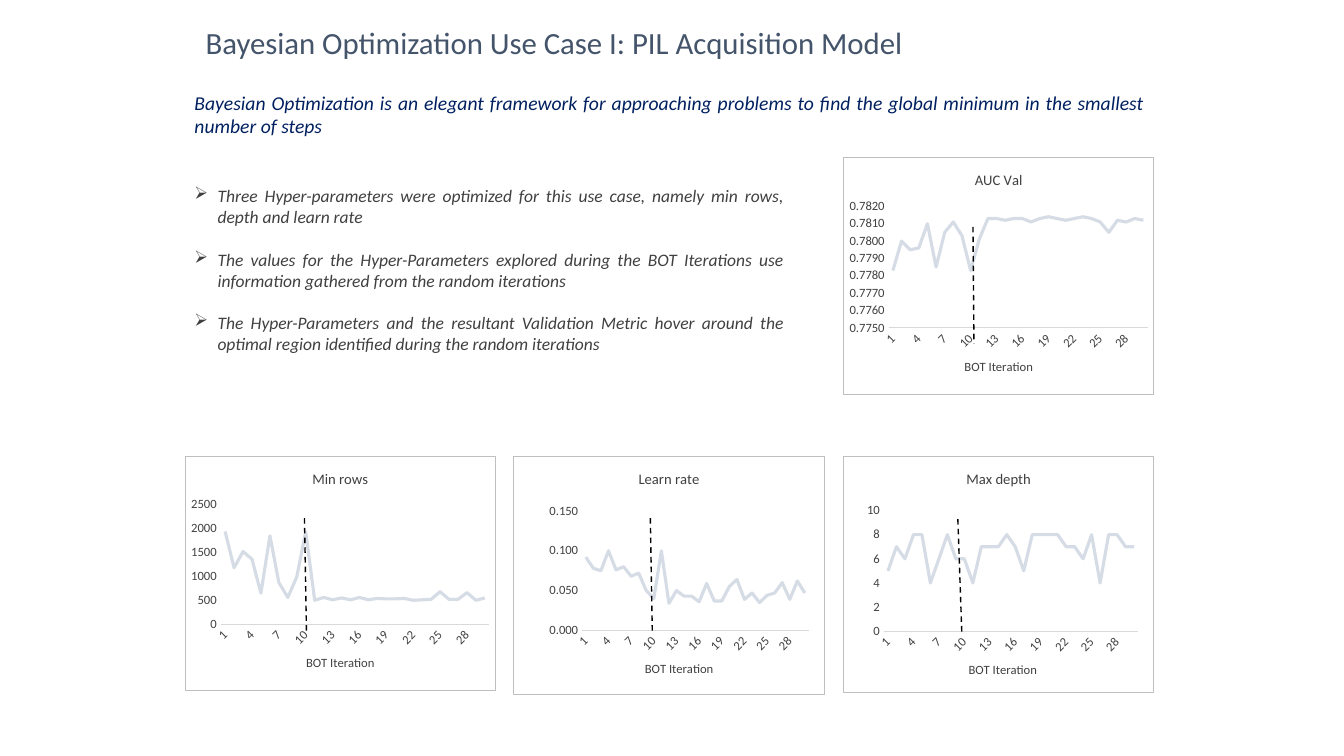
"""Build a slide on Bayesian optimization with four line charts."""
from dataclasses import dataclass

from lxml import etree
from pptx import Presentation
from pptx.chart.chart import Chart
from pptx.chart.data import CategoryChartData
from pptx.dml.color import RGBColor
from pptx.enum.chart import XL_CHART_TYPE, XL_TICK_MARK
from pptx.enum.dml import MSO_LINE
from pptx.enum.shapes import MSO_CONNECTOR
from pptx.enum.text import PP_ALIGN
from pptx.oxml import parse_xml
from pptx.oxml.ns import nsdecls, qn
from pptx.slide import Slide
from pptx.text.text import Font, TextFrame
from pptx.util import Emu, Pt

LINE = XL_CHART_TYPE.LINE
NO_TICK = XL_TICK_MARK.NONE
DASH = MSO_LINE.DASH
STRAIGHT = MSO_CONNECTOR.STRAIGHT
JUSTIFY = PP_ALIGN.JUSTIFY
LEFT = PP_ALIGN.LEFT
SCALE = 9144


@dataclass(frozen=True)
class Theme:
    """Hold the colours, font and type sizes."""
    face: str = "Calibri"
    title: str = "44546A"
    lead: str = "002060"
    body: str = "404040"
    trend: str = "D6DCE5"
    axis: str = "D9D9D9"
    frame: str = "BFBFBF"
    mark: str = "000000"
    title_size: float = 22
    lead_size: float = 14
    body_size: float = 12.5
    head_size: float = 10.5
    label_size: float = 9
    point_gap: float = 15.25


@dataclass(frozen=True)
class Box:
    """Hold a place on the slide in px."""
    left: int
    top: int
    width: int
    height: int

    def emu(self) -> tuple[Emu, ...]:
        """Give the place in EMU."""
        return tuple(map(px, (self.left, self.top, self.width, self.height)))


@dataclass(frozen=True)
class Panel:
    """Describe one chart and its dashed marker."""
    name: str
    box: Box
    low: float
    high: float
    step: float
    form: str
    marker: tuple[int, int, int, int]
    values: tuple[float, ...]
    plot: tuple[float, ...] = ()


THEME = Theme()
TITLE = "Bayesian Optimization Use Case I: PIL Acquisition Model"
LEAD = ("Bayesian Optimization is an elegant framework for approaching problems "
        "to find the global minimum in the smallest number of steps")
POINTS = (
    "Three Hyper-parameters were optimized for this use case, namely min rows, "
    "depth and learn rate",
    "The values for the Hyper-Parameters explored during the BOT Iterations use "
    "information gathered from the random iterations",
    "The Hyper-Parameters and the resultant Validation Metric hover around the "
    "optimal region identified during the random iterations",
)
PANELS = (
    Panel("AUC Val", Box(836, 156, 309, 236), 0.775, 0.782, 0.001, "0.0000",
          (965, 225, 966, 341),
          (0.7783, 0.78, 0.7795, 0.7796, 0.781, 0.7785, 0.7805, 0.7811, 0.7803, 0.7783,
           0.7801, 0.7813, 0.7813, 0.7812, 0.7813, 0.7813, 0.7811, 0.7813, 0.7814, 0.7813,
           0.7812, 0.7813, 0.7814, 0.7813, 0.7811, 0.7805, 0.7812, 0.7811, 0.7813, 0.7812)),
    Panel("Min rows", Box(183, 452, 309, 234), 0, 2500, 500, "General",
          (302, 514, 304, 628),
          (1940, 1180, 1520, 1360, 650, 1850, 870, 560, 990, 1930,
           500, 560, 510, 550, 510, 560, 510, 540, 530, 530,
           540, 500, 510, 520, 680, 520, 520, 660, 500, 550)),
    Panel("Learn rate", Box(509, 452, 309, 238), 0, 0.15, 0.05, "0.000",
          (645, 514, 647, 628),
          (0.092, 0.078, 0.075, 0.1, 0.076, 0.08, 0.068, 0.072, 0.05, 0.04,
           0.1, 0.034, 0.05, 0.043, 0.043, 0.036, 0.059, 0.037, 0.037, 0.055,
           0.064, 0.039, 0.047, 0.035, 0.044, 0.047, 0.06, 0.039, 0.062, 0.047),
          (0.22, 0.23, 0.73, 0.5)),
    Panel("Max depth", Box(836, 452, 309, 236), 0, 10, 2, "General",
          (950, 515, 954, 629),
          (5, 7, 6, 8, 8, 4, 6, 8, 6, 6, 4, 7, 7, 7, 8,
           7, 5, 8, 8, 8, 8, 7, 7, 6, 8, 4, 8, 8, 7, 7),
          (0.13, 0.23, 0.82, 0.51)),
)


def px(count: int) -> Emu:
    """Turn px into EMU."""
    return Emu(count * SCALE)


def style(font: Font, size: float, color: str, slant: bool = False) -> None:
    """Set face, size, colour and slant of a font."""
    font.name, font.size, font.bold, font.italic = THEME.face, Pt(size), False, slant
    font.color.rgb = RGBColor.from_string(color)


def add_text(slide: Slide, box: Box, lines: tuple[str, ...], size: float, color: str,
             slant: bool = True) -> TextFrame:
    """Add a wrapped text box with one paragraph per line."""
    frame = slide.shapes.add_textbox(*box.emu()).text_frame
    frame.word_wrap = True
    frame.text = "\n".join(lines)
    for para in frame.paragraphs:
        style(para.font, size, color, slant)
        para.alignment = JUSTIFY if slant else LEFT
    return frame


def add_bullets(frame: TextFrame) -> None:
    """Give each paragraph an arrow bullet and a gap above the next."""
    for para in frame.paragraphs:
        para.space_after = Pt(THEME.point_gap)
        props = para._p.get_or_add_pPr()
        props.set("marL", str(px(23)))
        props.set("indent", str(px(-23)))
        props.find(qn("a:defRPr")).addprevious(
            parse_xml(f'<a:buChar {nsdecls("a")} char="➢"/>'))


def set_frame(chart: Chart, plot: tuple[float, ...]) -> None:
    """Outline the chart and place its plot area if one is given."""
    body = chart._chartSpace.find(qn("c:chart"))
    body.addnext(parse_xml(
        f'<c:spPr {nsdecls("c", "a")}><a:noFill/><a:ln w="9525"><a:solidFill>'
        f'<a:srgbClr val="{THEME.frame}"/></a:solidFill></a:ln></c:spPr>'))
    if plot:
        area = body.find(qn("c:plotArea"))
        for old in area.findall(qn("c:layout")):
            area.remove(old)
        sizes = "".join(f'<c:{key} val="{part}"/>' for key, part in zip("xywh", plot))
        area.insert(0, parse_xml(
            f'<c:layout {nsdecls("c")}><c:manualLayout><c:layoutTarget val="inner"/>'
            f'<c:xMode val="edge"/><c:yMode val="edge"/>{sizes}'
            '</c:manualLayout></c:layout>'))


def add_panel(slide: Slide, panel: Panel) -> None:
    """Add one line chart."""
    data = CategoryChartData()
    data.categories = [str(turn + 1) for turn in range(len(panel.values))]
    data.add_series("Series 1", panel.values)
    chart = slide.shapes.add_chart(LINE, *panel.box.emu(), data).chart
    chart.has_legend = False
    style(chart.font, THEME.label_size, THEME.body)
    turns, scale = chart.category_axis, chart.value_axis
    for owner, words, size in ((chart, panel.name, THEME.head_size),
                               (turns, "BOT Iteration", THEME.label_size)):
        title = owner.chart_title if owner is chart else owner.axis_title
        title.text_frame.text = words
        style(title.text_frame.paragraphs[0].font, size, THEME.body)
    for axis in (turns, scale):
        axis.major_tick_mark = axis.minor_tick_mark = NO_TICK
        axis.has_major_gridlines = False
        style(axis.tick_labels.font, THEME.label_size, THEME.body)
    turns._element.find(qn("c:txPr")).find(qn("a:bodyPr")).set("rot", "-2700000")
    turns.format.line.color.rgb = RGBColor.from_string(THEME.axis)
    turns.format.line.width = Pt(0.75)
    scale.format.line.fill.background()
    scale.minimum_scale, scale.maximum_scale = panel.low, panel.high
    scale.major_unit = panel.step
    scale.tick_labels.number_format = panel.form
    scale.tick_labels.number_format_is_linked = False
    chart.plots[0].vary_by_categories = False
    trend = chart.plots[0].series[0]
    trend.smooth = False
    trend.format.line.color.rgb = RGBColor.from_string(THEME.trend)
    trend.format.line.width = Pt(2.25)
    set_frame(chart, panel.plot)


def add_marker(slide: Slide, ends: tuple[int, int, int, int]) -> None:
    """Add a dashed line."""
    rule = slide.shapes.add_connector(STRAIGHT, *map(px, ends))
    rule.line.color.rgb = RGBColor.from_string(THEME.mark)
    rule.line.width = Pt(1)
    rule.line.dash_style = DASH
    etree.SubElement(rule._element.spPr, qn("a:effectLst"))


def main() -> None:
    """Build and save the slide."""
    deck = Presentation()
    deck.slide_width, deck.slide_height = px(1333), px(750)
    slide = deck.slides.add_slide(deck.slide_layouts[6])
    title = add_text(slide, Box(204, 24, 907, 40), (TITLE,), THEME.title_size,
                     THEME.title, False)
    title.margin_left = title.margin_right = title.margin_top = title.margin_bottom = 0
    for panel in PANELS:
        add_panel(slide, panel)
    for panel in PANELS:
        add_marker(slide, panel.marker)
    add_text(slide, Box(183, 85, 962, 57), (LEAD,), THEME.lead_size, THEME.lead)
    add_bullets(add_text(slide, Box(183, 179, 604, 326), POINTS, THEME.body_size,
                         THEME.body))
    deck.save("out.pptx")


if __name__ == "__main__":
    main()
